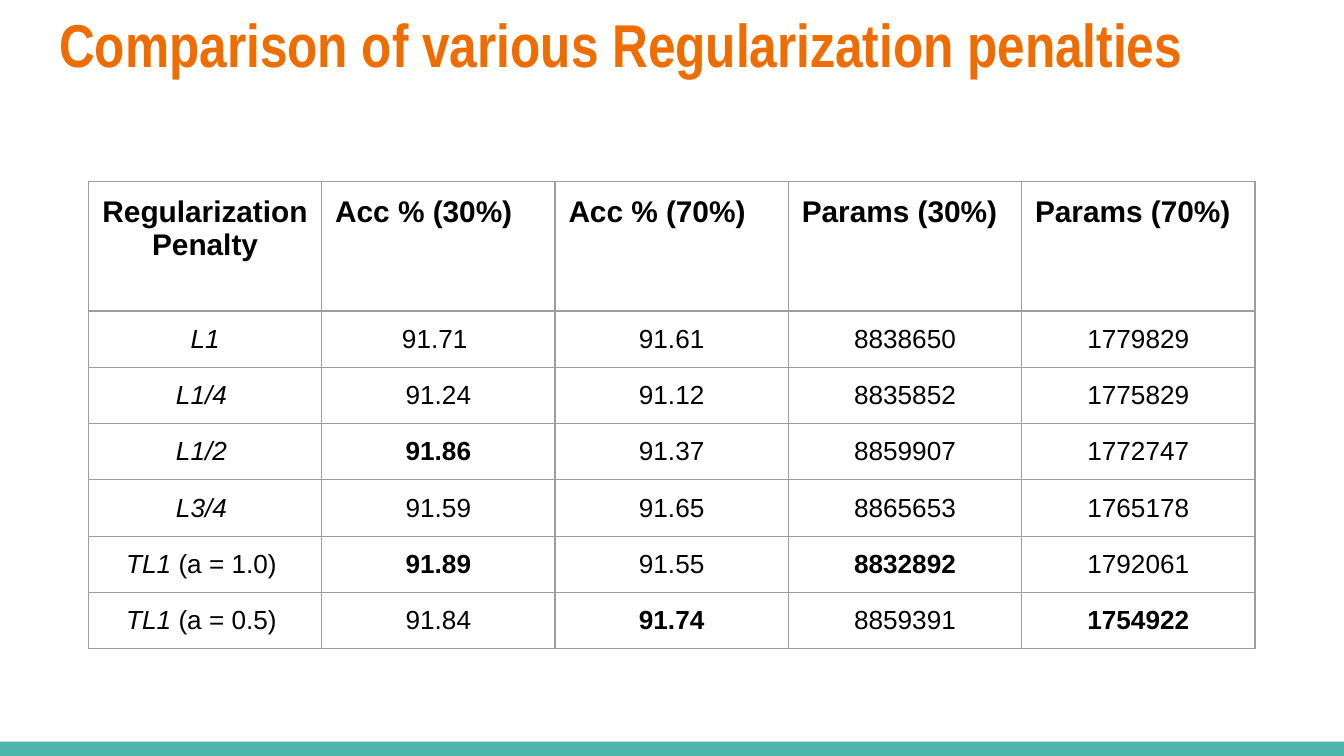
from dataclasses import dataclass

from lxml.etree import SubElement
from pptx import Presentation
from pptx.dml.color import RGBColor as RGB
from pptx.enum.shapes import MSO_SHAPE as SHAPE
from pptx.enum.text import MSO_ANCHOR as ANCHOR, PP_ALIGN as ALIGN
from pptx.oxml import parse_xml
from pptx.oxml.ns import nsdecls, qn
from pptx.util import Pt


@dataclass(frozen=True)
class Theme:
    """Colours, fonts and type sizes of the slide."""
    title: str = "EF6C00"
    bar: str = "4DB6AC"
    text: str = "000000"
    grid: str = "9E9E9E"
    title_font: str = "Arial Narrow"
    body_font: str = "Arial"
    title_size: float = 32.4
    head_size: float = 16
    body_size: float = 14
    grid_width: float = 0.75
    inset: float = 7.2


THEME = Theme()
HEADER = ["Regularization Penalty", "Acc % (30%)", "Acc % (70%)", "Params (30%)", "Params (70%)"]
RESULTS = [
    ("L1", "", "91.71 ", "91.61", "8838650", "1779829"),
    ("L1/4 ", "", "91.24", "91.12", "8835852", "1775829"),
    ("L1/2 ", "", "91.86", "91.37", "8859907", "1772747"),
    ("L3/4 ", "", "91.59", "91.65", "8865653", "1765178"),
    ("TL1 ", "(a = 1.0) ", "91.89", "91.55", "8832892", "1792061"),
    ("TL1 ", "(a = 0.5) ", "91.84", "91.74", "8859391", "1754922"),
]
BEST = {"91.86", "91.89", "91.74", "8832892", "1754922"}


def add_run(p, text, color=THEME.text, **formats):
    """Append a run with the given font formats."""
    r = p.add_run()
    r.text = text
    for name, value in formats.items():
        setattr(r.font, name, value)
    r.font.color.rgb = RGB.from_string(color)


def set_borders(cell):
    """Draw the grid line on all four sides of a cell."""
    tc_pr = cell._tc.get_or_add_tcPr()
    for i, side in enumerate("LRTB"):
        ln = parse_xml(f'<a:ln{side} {nsdecls("a")} w="{Pt(THEME.grid_width)}"/>')
        fill = SubElement(ln, qn("a:solidFill"))
        SubElement(fill, qn("a:srgbClr"), val=THEME.grid)
        tc_pr.insert(i, ln)


def fill_cell(cell, runs, size, align):
    """Write (text, bold, italic) runs into a cell with insets and borders."""
    for side in ("left", "right", "top", "bottom"):
        setattr(cell, f"margin_{side}", Pt(THEME.inset))
    cell.fill.background()
    set_borders(cell)
    p = cell.text_frame.paragraphs[0]
    p.alignment = align
    for text, bold, italic in runs:
        add_run(p, text, name=THEME.body_font, size=Pt(size), bold=bold, italic=italic)


def add_title(s, box, text):
    """Place and format the title placeholder."""
    sp = s.shapes.title
    sp.left, sp.top, sp.width, sp.height = map(Pt, box)
    tf = sp.text_frame
    formats = {f"margin_{side}": Pt(THEME.inset) for side in ("left", "right", "top", "bottom")}
    formats.update(word_wrap=True, vertical_anchor=ANCHOR.MIDDLE)
    for name, value in formats.items():
        setattr(tf, name, value)
    p = tf.paragraphs[0]
    p.alignment = ALIGN.LEFT
    add_run(p, text, THEME.title, name=THEME.title_font, size=Pt(THEME.title_size), bold=True)


def add_bar(s, box):
    """Draw the coloured bar along the bottom edge."""
    sp = s.shapes.add_shape(SHAPE.RECTANGLE, *map(Pt, box))
    sp.shadow.inherit = False
    sp.fill.solid()
    sp.fill.fore_color.rgb = RGB.from_string(THEME.bar)
    sp.line.fill.background()


def add_results(s, box, head_height):
    """Build the table of penalties, with equal columns and equal body rows."""
    left, top, width, height = box
    rows, cols = len(RESULTS) + 1, len(HEADER)
    table = s.shapes.add_table(rows, cols, *map(Pt, box)).table
    table.first_row = table.horz_banding = False
    for col in table.columns:
        col.width = Pt(width / cols)
    for row in table.rows:
        row.height = Pt((height - head_height) / len(RESULTS))
    table.rows[0].height = Pt(head_height)
    for c, label in enumerate(HEADER):
        align = ALIGN.LEFT if c else ALIGN.CENTER
        fill_cell(table.cell(0, c), [(label, True, False)], THEME.head_size, align)
    for r, (penalty, note, *values) in enumerate(RESULTS, 1):
        name_runs = [(penalty, False, True)] + ([(note, False, False)] if note else [])
        cells = [name_runs] + [[(v, v in BEST, False)] for v in values]
        for c, runs in enumerate(cells):
            fill_cell(table.cell(r, c), runs, THEME.body_size, ALIGN.CENTER)


def main():
    """Build the slide and save it."""
    prs = Presentation()
    prs.slide_width, prs.slide_height = Pt(720), Pt(405)
    s = prs.slides.add_slide(prs.slide_layouts[5])
    add_bar(s, (0, 397.3, 720, 7.7))
    add_title(s, (24.5, -4.3, 671, 55.4), "Comparison of various Regularization penalties")
    add_results(s, (47.4, 97.4, 625, 249.8), 69.2)
    prs.save("out.pptx")


if __name__ == "__main__":
    main()
